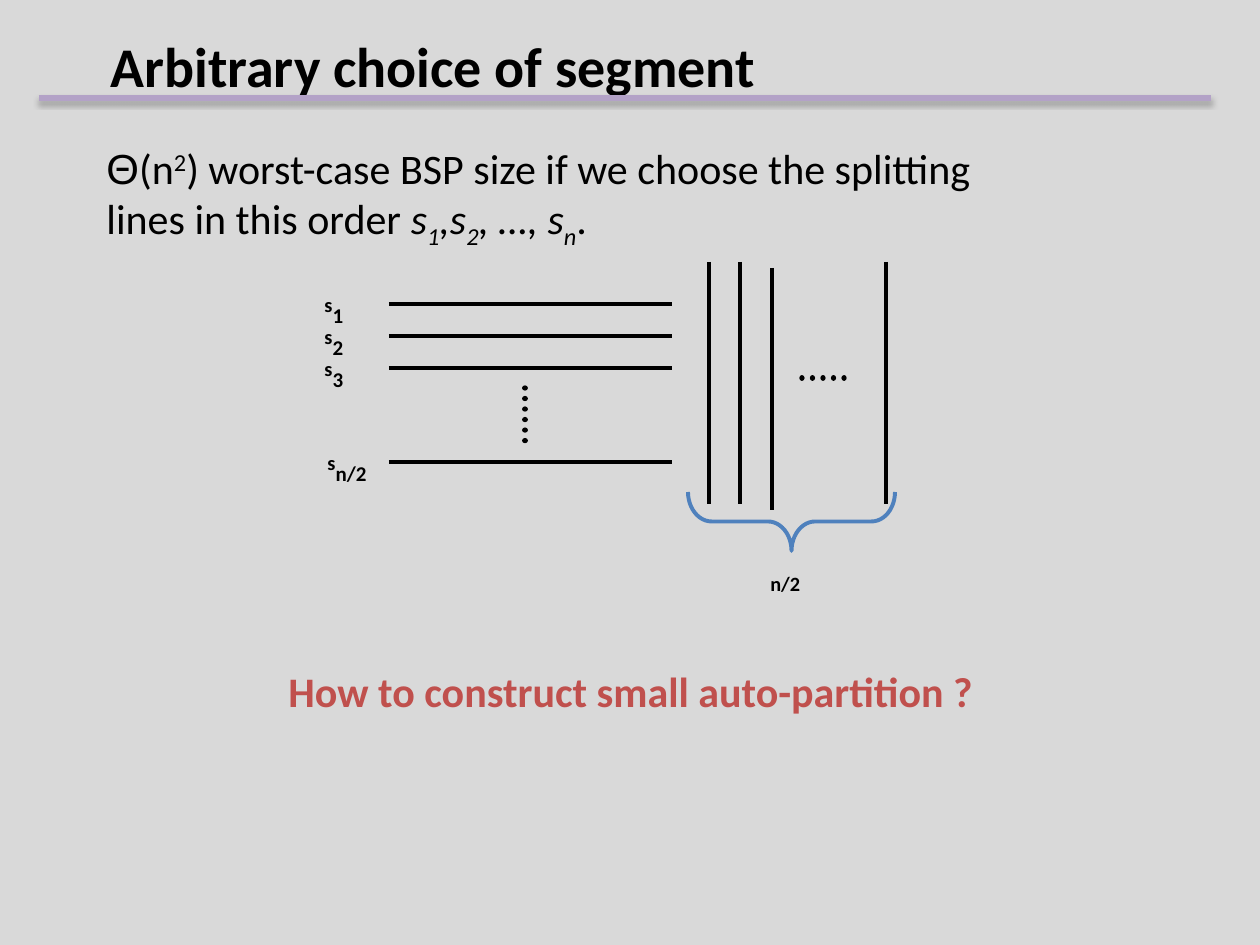
from lxml import etree
from pptx import Presentation, util as u
from pptx.dml.color import RGBColor
from pptx.enum import dml, shapes, text
from pptx.oxml.ns import qn

SCALE = 914400 // 126  # EMU per pixel
BLACK = RGBColor(0x00, 0x00, 0x00)
GREY = RGBColor(0xD9, 0xD9, 0xD9)
LILAC = RGBColor(0xB3, 0xA2, 0xC7)
BLUE = RGBColor(0x4F, 0x81, 0xBD)
RED = RGBColor(0xC0, 0x50, 0x4D)


def px(*lengths):
    return [u.Emu(length * SCALE) for length in lengths]


class SlideBuilder:
    font = "Calibri"

    def __init__(self, slide):
        self.slide = slide
        slide.background.fill.solid()
        slide.background.fill.fore_color.rgb = GREY

    def add_run(self, para, words, size, color=BLACK, bold=False,
                italic=False, baseline=0, font=None):
        span = para.add_run()
        span.text = words
        span.font.name = font or self.font
        span.font.size = u.Pt(size)
        span.font.bold = bold
        span.font.italic = italic
        span.font.color.rgb = color
        if baseline:
            span._r.get_or_add_rPr().set("baseline", str(baseline * 1000))

    def title(self, words, left, top, width, height):
        box = self.slide.shapes.title
        box.left, box.top, box.width, box.height = px(left, top, width, height)
        frame = box.text_frame
        frame.vertical_anchor = text.MSO_ANCHOR.MIDDLE
        para = frame.paragraphs[0]
        para.alignment = text.PP_ALIGN.LEFT
        self.add_run(para, words, 32, bold=True)

    def text(self, left, top, width, height, runs, wrap=True):
        """Each run is a pair of words and a dict of its formatting."""
        box = self.slide.shapes.add_textbox(*px(left, top, width, height))
        box.text_frame.word_wrap = wrap
        para = box.text_frame.paragraphs[0]
        for words, style in runs:
            self.add_run(para, words, **style)

    def line(self, x1, y1, x2, y2, width=2.25, color=BLACK, dotted=False, shadow=False):
        rule = self.slide.shapes.add_connector(
            shapes.MSO_CONNECTOR.STRAIGHT, *px(x1, y1, x2, y2))
        rule.line.color.rgb = color
        rule.line.width = u.Pt(width)
        if dotted:
            rule.line.dash_style = dml.MSO_LINE.ROUND_DOT
            rule.line._ln.set("cap", "rnd")
        effects = etree.SubElement(rule._element.spPr, qn("a:effectLst"))
        if shadow:
            outer = etree.SubElement(effects, qn("a:outerShdw"), blurRad="39370",
                                     dist="22860", dir="5400000", rotWithShape="0")
            tint = etree.SubElement(outer, qn("a:srgbClr"), val="000000")
            etree.SubElement(tint, qn("a:alpha"), val="35000")

    def brace(self, left, top, width, height):
        brace = self.slide.shapes.add_shape(
            shapes.MSO_SHAPE.RIGHT_BRACE, *px(left, top, width, height))
        brace.rotation = 90
        brace.adjustments[0] = 0.4
        brace.adjustments[1] = 0.5
        brace.shadow.inherit = False
        brace.fill.background()
        brace.line.color.rgb = BLUE
        brace.line.width = u.Pt(2.25)


deck = Presentation()
deck.slide_width, deck.slide_height = u.Inches(10), u.Inches(7.5)
page = SlideBuilder(deck.slides.add_slide(deck.slide_layouts[5]))

# Heading and its rule
page.title("Arbitrary choice of segment", 98, 23, 1071, 84)
page.line(39, 98, 1211, 98, width=3, color=LILAC, shadow=True)

# Statement
plain = dict(size=24)
slanted = dict(size=24, italic=True)
lowered = dict(slanted, baseline=-25)
page.text(94, 136, 969, 115, [
    ("Θ", dict(plain, font="Arial")),
    ("(n", plain),
    ("2", dict(plain, baseline=30)),
    (") worst-case BSP size if we choose the splitting lines in this order ", plain),
    ("s", slanted), ("1", lowered),
    (",s", slanted), ("2", lowered),
    (", …, s", slanted), ("n", lowered),
    (".", plain),
])

# Horizontal segments with their labels
raised = dict(size=20, bold=True, baseline=30)
index = dict(size=12, bold=True)
for name, y, left in (("1", 304, 312), ("2", 336, 312), ("3", 368, 312), ("n/2", 462, 315)):
    page.line(389, y, 672, y)
    page.text(left, y - 22, 67 if name == "n/2" else 45, 42,
              [("s", raised), (name, index)], wrap=False)
page.line(525, 388, 525, 441, width=3, dotted=True)

# Vertical segments with their count
for x, top in ((709, 262), (740, 262), (772, 268), (886, 262)):
    page.line(x, top, x, top + 242)
page.line(802, 378, 854, 378, width=3, dotted=True)
page.brace(762, 418, 59, 207)
page.text(758, 561, 60, 55, [("n/2", raised)], wrap=False)

# Closing question
page.text(276, 659, 718, 63, [
    ("How to construct small auto-partition ?", dict(size=24, bold=True, color=RED))])

deck.save("out.pptx")
